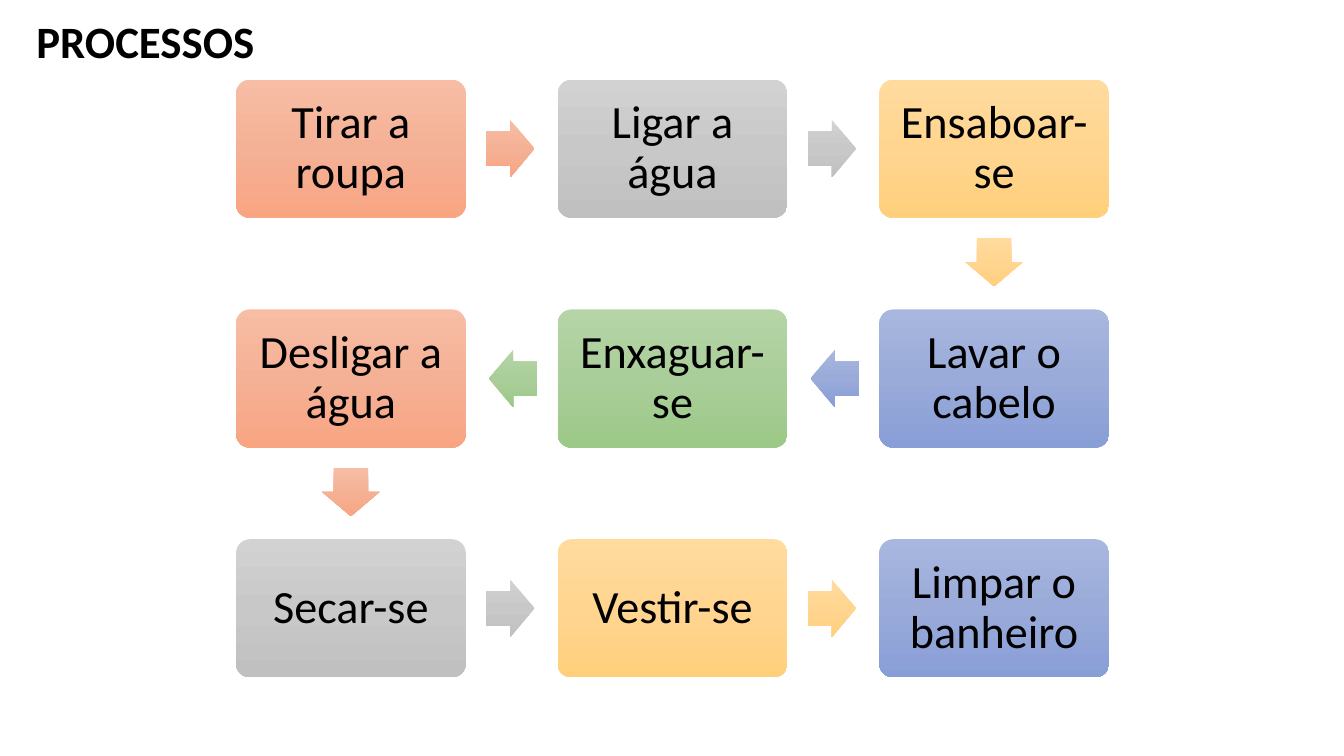
from lxml import etree
from pptx import Presentation
from pptx.dml.color import RGBColor
from pptx.enum.shapes import MSO_SHAPE
from pptx.enum.text import MSO_ANCHOR, MSO_AUTO_SIZE, PP_ALIGN
from pptx.oxml.ns import qn
from pptx.util import Inches, Pt

ROUNDED = MSO_SHAPE.ROUNDED_RECTANGLE
ARROW = MSO_SHAPE.RIGHT_ARROW
CENTER, LEFT = PP_ALIGN.CENTER, PP_ALIGN.LEFT
MIDDLE, BOTTOM = MSO_ANCHOR.MIDDLE, MSO_ANCHOR.BOTTOM
NO_AUTOFIT = MSO_AUTO_SIZE.NONE

SLIDE_WIDTH, SLIDE_HEIGHT = 13.33, 7.5
FONT = "Calibri"
TEXT_COLOR = "000000"
GRADIENTS = {
    "orange": ("F7BDA5", "F5B196", "F8A582"),
    "gray": ("D2D2D2", "C8C8C8", "C0C0C0"),
    "yellow": ("FFDB9E", "FFD590", "FFD07C"),
    "blue": ("A8B7DF", "9AABD9", "889ED7"),
    "green": ("B5D5A7", "AACE9A", "9CC987"),
}
STEPS = [
    ("Tirar a roupa", "orange"),
    ("Ligar a água", "gray"),
    ("Ensaboar-se", "yellow"),
    ("Lavar o cabelo", "blue"),
    ("Enxaguar-se", "green"),
    ("Desligar a água", "orange"),
    ("Secar-se", "gray"),
    ("Vestir-se", "yellow"),
    ("Limpar o banheiro", "blue"),
]
COLUMNS = 3
STEP_WIDTH, STEP_HEIGHT = 2.28, 1.37
COLUMN_PITCH, ROW_PITCH = 3.19, 2.28
ARROW_LENGTH, ARROW_BREADTH, ARROW_GAP = 0.48, 0.57, 0.2
TITLE_BOX = (0.26, 0.24, 4.07, 0.49)
FLOW_ORIGIN = (2.34, 0.79)


def write_text(frame, text, *, size, align, anchor, bold=False, inset=None):
    """Fill a text frame with one formatted paragraph."""
    frame.word_wrap = True
    frame.auto_size = NO_AUTOFIT
    frame.vertical_anchor = anchor
    if inset is not None:
        frame.margin_left = frame.margin_right = Inches(inset)
        frame.margin_top = frame.margin_bottom = Inches(inset)
    para = frame.paragraphs[0]
    para.alignment = align
    para.line_spacing = 0.9
    span = para.add_run()
    span.text = text
    span.font.name = FONT
    span.font.size = Pt(size)
    span.font.bold = bold
    span.font.color.rgb = RGBColor.from_string(TEXT_COLOR)


def fill_gradient(shape, color):
    """Apply a vertical three-stop gradient that stays upright on rotation."""
    shape.fill.gradient()
    gradient = shape.element.spPr.find(qn("a:gradFill"))
    gradient.set("rotWithShape", "0")
    stops = gradient.find(qn("a:gsLst"))
    for stop in list(stops):
        stops.remove(stop)
    for index, value in enumerate(GRADIENTS[color]):
        stop = etree.SubElement(stops, qn("a:gs"), pos=str(index * 50000))
        etree.SubElement(stop, qn("a:srgbClr"), val=value)
    gradient.find(qn("a:lin")).set("ang", "5400000")


def add_block(page, kind, center, size, color, adjustments):
    """Add a borderless gradient shape around a centre point."""
    left, top = (middle - length / 2 for middle, length in zip(center, size))
    shape = page.shapes.add_shape(kind, *map(Inches, (left, top, *size)))
    for index, value in enumerate(adjustments):
        shape.adjustments[index] = value
    shape.shadow.inherit = False
    shape.line.fill.background()
    fill_gradient(shape, color)
    return shape


def step_center(index, origin):
    """Return the centre of a step on the back-and-forth grid."""
    row, column = divmod(index, COLUMNS)
    if row % 2:
        column = COLUMNS - 1 - column
    return (origin[0] + column * COLUMN_PITCH + STEP_WIDTH / 2,
            origin[1] + row * ROW_PITCH + STEP_HEIGHT / 2)


def add_arrow(page, start, end, color):
    """Add an arrow that leaves one step towards the next."""
    x, y = start
    reach = ARROW_GAP + ARROW_LENGTH / 2
    if abs(end[0] - x) < 0.01:
        rotation, center = 90, (x, y + STEP_HEIGHT / 2 + reach)
    elif end[0] > x:
        rotation, center = 0, (x + STEP_WIDTH / 2 + reach, y)
    else:
        rotation, center = 180, (x - STEP_WIDTH / 2 - reach, y)
    arrow = add_block(page, ARROW, center, (ARROW_LENGTH, ARROW_BREADTH), color, (0.6, 0.5))
    arrow.rotation = rotation


def add_flow(page, origin):
    """Lay out the steps and the arrows between them."""
    centers = [step_center(index, origin) for index in range(len(STEPS))]
    for index, (text, color) in enumerate(STEPS):
        box = add_block(page, ROUNDED, centers[index], (STEP_WIDTH, STEP_HEIGHT), color, (0.1,))
        write_text(box.text_frame, text, size=33, align=CENTER, anchor=MIDDLE, inset=0.14)
        if index + 1 < len(STEPS):
            add_arrow(page, centers[index], centers[index + 1], color)


def add_title(page, box):
    """Place and format the slide title."""
    title = page.shapes.title
    title.left, title.top, title.width, title.height = map(Inches, box)
    write_text(title.text_frame, "PROCESSOS", size=32, align=LEFT, anchor=BOTTOM, bold=True)


def main():
    """Build and save the deck."""
    deck = Presentation()
    deck.slide_width, deck.slide_height = Inches(SLIDE_WIDTH), Inches(SLIDE_HEIGHT)
    page = deck.slides.add_slide(deck.slide_layouts.get_by_name("Title Only"))
    add_flow(page, FLOW_ORIGIN)
    add_title(page, TITLE_BOX)
    deck.save("out.pptx")


if __name__ == "__main__":
    main()
